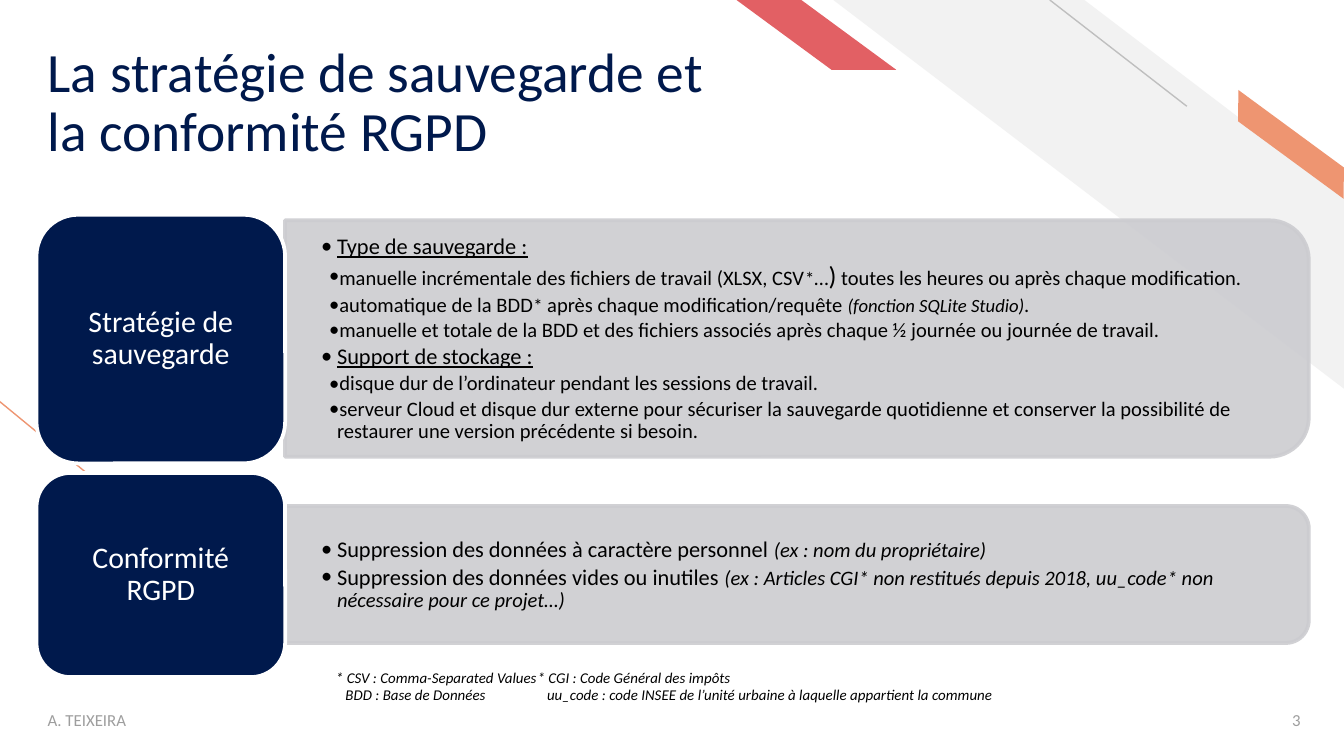
import pptx
import pptx.dml.color
import pptx.enum.shapes
import pptx.enum.text
import pptx.oxml
import pptx.oxml.ns
import pptx.util

Cm, Pt = pptx.util.Cm, pptx.util.Pt
SHAPE = pptx.enum.shapes.MSO_SHAPE
ALIGN = pptx.enum.text.PP_ALIGN
ANCHOR = pptx.enum.text.MSO_ANCHOR
qn = pptx.oxml.ns.qn

FONT = "Calibri"
COLORS = {
    "navy": "00194C", "panel": "CCCCD0", "stripe": "F2F2F2",
    "thin": "BFBFBF", "orange": "EE9571", "red": "E26064",
    "footer": "9E9E9E", "black": "000000", "white": "FFFFFF",
}
ITALIC = {"italic": True}
UNDERLINE = {"underline": True}

# Each paragraph: (hanging indent in cm, [(text, size, style), ...])
MAIN, SUB = 0.3, 0.15
BACKUP = [
    (MAIN, [("Type de sauvegarde :", 12, UNDERLINE)]),
    (SUB, [("manuelle incrémentale des fichiers de travail (XLSX, CSV", 11, {}),
           ("*", 10, {}), ("…", 11, {}), (")", 14, {}),
           (" toutes les heures ou après chaque modification.", 11, {})]),
    (SUB, [("automatique de la BDD", 11, {}), ("*", 10, {}),
           (" après chaque modification/requête ", 11, {}),
           ("(fonction SQLite Studio)", 10, ITALIC), (".", 11, {})]),
    (SUB, [("manuelle et totale de la BDD et des fichiers associés après "
            "chaque ½ journée ou journée de travail.", 11, {})]),
    (MAIN, [("Support de stockage :", 12, UNDERLINE)]),
    (SUB, [("disque dur de l’ordinateur pendant les sessions de travail.", 11, {})]),
    (SUB, [("serveur Cloud et disque dur externe pour sécuriser la sauvegarde "
            "quotidienne et conserver la possibilité de restaurer une version "
            "précédente si besoin.", 11, {})]),
]
GDPR = [
    (MAIN, [("Suppression des données à caractère personnel ", 12, {}),
            ("(ex : nom du propriétaire)", 11, ITALIC)]),
    (MAIN, [("Suppression des données vides ou inutiles ", 12, {}),
            ("(ex : Articles CGI", 11, ITALIC), ("*", 10.5, ITALIC),
            (" non restitués depuis 2018, uu_code", 11, ITALIC),
            ("*", 10.5, ITALIC),
            (" non nécessaire pour ce projet…)", 11, ITALIC)]),
]
# Each footnote line: (left margin, tab stop, text)
FOOTNOTES = [
    (0, 7.62, "* CSV : Comma-Separated Values\t* CGI : Code Général des impôts"),
    (0.18, 7.87, "BDD : Base de Données\tuu_code : code INSEE de l’unité "
                 "urbaine à laquelle appartient la commune"),
]


def rgb(name):
    return pptx.dml.color.RGBColor.from_string(COLORS[name])


def apply(obj, values):
    for key, value in values.items():
        setattr(obj, key, value)


def set_frame(tf, insets, anchor=ANCHOR.MIDDLE, wrap=True):
    left, top, right, bottom = (Cm(v) for v in insets)
    apply(tf, {"margin_left": left, "margin_top": top, "margin_right": right,
               "margin_bottom": bottom, "vertical_anchor": anchor,
               "auto_size": pptx.enum.text.MSO_AUTO_SIZE.NONE,
               "word_wrap": wrap})


def add_run(p, text, size, color, style=None):
    r = p.add_run()
    r.text = text
    apply(r.font, {"name": FONT, "size": Pt(size), **(style or {})})
    r.font.color.rgb = rgb(color)


def add_text(s, box, insets, wrap=True, anchor=ANCHOR.MIDDLE):
    tf = s.shapes.add_textbox(*(Cm(v) for v in box)).text_frame
    set_frame(tf, insets, anchor, wrap)
    return tf


def paragraphs(tf, items):
    """Pair each item with its paragraph, starting with the existing one."""
    for i, item in enumerate(items):
        yield (tf.add_paragraph() if i else tf.paragraphs[0]), item


def add_shape(s, kind, box, fill, line=None, flip=False, adj=None, rotation=0):
    sp = s.shapes.add_shape(kind, *(Cm(v) for v in box))
    sp.shadow.inherit = False
    sp.rotation = rotation
    sp.fill.solid()
    sp.fill.fore_color.rgb = rgb(fill)
    if line:
        sp.line.color.rgb = rgb(line)
        sp.line.width = Pt(2)
    else:
        sp.line.fill.background()
    if flip:
        sp._element.spPr.xfrm.set("flipH", "1")
    if adj is not None:
        sp.adjustments[0] = adj
    return sp


def add_line(s, ends, color):
    line = s.shapes.add_connector(pptx.enum.shapes.MSO_CONNECTOR.STRAIGHT,
                                  *(Cm(v) for v in ends))
    line.line.color.rgb = rgb(color)
    line.line.width = Pt(0.75)
    pptx.oxml.ns  # namespace map used by the element below
    line._element.spPr.append(pptx.oxml.parse_xml(
        f"<a:effectLst {pptx.oxml.ns.nsdecls('a')}/>"))


def add_bullet(p, hang):
    pPr = p._p.get_or_add_pPr()
    pPr.set("marL", str(Cm(MAIN)))
    pPr.set("indent", str(-Cm(hang)))
    ns = pptx.oxml.ns.nsdecls("a")
    for xml in (f'<a:buClr {ns}><a:srgbClr val="{COLORS["black"]}"/></a:buClr>',
                f'<a:buFont {ns} typeface="{FONT}"/>',
                f'<a:buChar {ns} char="•"/>'):
        pPr.append(pptx.oxml.parse_xml(xml))


def add_panel(s, center_y, height, text_box, items):
    # Turned a quarter so that the rounded corners are on the right
    center_x, length = 15.06, 19.35
    box = (center_x - height / 2, center_y - length / 2, height, length)
    sp = add_shape(s, SHAPE.ROUND_2_SAME_RECTANGLE, box, "panel", "panel",
                   rotation=90)
    for clr in sp._element.spPr.iter(qn("a:srgbClr")):
        clr.append(pptx.oxml.parse_xml(
            f'<a:alpha {pptx.oxml.ns.nsdecls("a")} val="90000"/>'))
    tf = add_text(s, text_box, (0.69, 0.36, 0.69, 0.36))
    for p, (hang, runs) in paragraphs(tf, items):
        add_bullet(p, hang)
        apply(p, {"line_spacing": 0.9, "space_after": Pt(1.8)})
        for text, size, style in runs:
            add_run(p, text, size, "black", style)


def add_label(s, top, height, text):
    sp = add_shape(s, SHAPE.ROUNDED_RECTANGLE, (0.69, top, 4.7, height),
                   "navy", "white")
    set_frame(sp.text_frame, (0.4, 0.3, 0.4, 0.3))
    p = sp.text_frame.paragraphs[0]
    apply(p, {"alignment": ALIGN.CENTER, "line_spacing": 0.9})
    add_run(p, text, 16, "white")


def add_footnotes(s):
    tf = add_text(s, (6.1, 12.5, 16.92, 0.94), (0.25, 0.13, 0.25, 0.13),
                  wrap=False, anchor=ANCHOR.TOP)
    for p, (margin, stop, text) in paragraphs(tf, FOOTNOTES):
        pPr = p._p.get_or_add_pPr()
        pPr.set("marL", str(Cm(margin)))
        pPr.set("indent", "0")
        pPr.append(pptx.oxml.parse_xml(
            f'<a:tabLst {pptx.oxml.ns.nsdecls("a")}>'
            f'<a:tab pos="{Cm(stop)}" algn="l"/></a:tabLst>'))
        add_run(p, text, 8, "black", ITALIC)


def add_footer(s, left, width, text, alignment):
    tf = add_text(s, (left, 13.23, width, 0.76), (0.19, 0.1, 0.19, 0.1))
    tf.paragraphs[0].alignment = alignment
    add_run(tf.paragraphs[0], text, 9, "footer")


def set_title(s, text):
    title = s.shapes.title
    apply(title, {"left": Cm(0.71), "top": Cm(0.71),
                  "width": Cm(13.03), "height": Cm(2.39)})
    set_frame(title.text_frame, (0.19, 0.1, 0.19, 0), ANCHOR.BOTTOM)
    p = title.text_frame.paragraphs[0]
    apply(p, {"alignment": ALIGN.LEFT, "line_spacing": 0.9})
    add_run(p, text, 29.7, "navy")


def add_decoration(s):
    add_line(s, (3.96, 10.85, -0.03, 7.57), "orange")
    add_shape(s, SHAPE.DIAGONAL_STRIPE, (15.75, 0, 9.68, 7.37), "stripe",
              flip=True, adj=0.51)
    add_line(s, (22.43, 2.01, 19.84, 0), "thin")
    add_shape(s, SHAPE.PARALLELOGRAM, (22.99, 2.49, 2.82, 0.48), "orange",
              flip=True, adj=0.72, rotation=36.3)
    add_shape(s, SHAPE.PARALLELOGRAM, (13.92, 0, 3.02, 1.32), "red",
              flip=True, adj=1.36)


def main():
    prs = pptx.Presentation()
    prs.slide_width, prs.slide_height = Cm(25.4), Cm(14.29)
    s = prs.slides.add_slide(prs.slide_layouts[5])

    # Background bands and title
    add_decoration(s)
    set_title(s, "La stratégie de sauvegarde et la conformité RGPD")

    # Two topics: panel with bullets, then its label
    add_panel(s, 6.4, 4.47, (5.38, 4.39, 19.13, 4.04), BACKUP)
    add_label(s, 4.06, 4.7, "Stratégie de sauvegarde")
    add_panel(s, 10.86, 2.59, (5.38, 9.7, 19.2, 2.34), GDPR)
    add_label(s, 8.94, 3.86, "Conformité RGPD")

    # Footnotes and footer
    add_footnotes(s)
    add_footer(s, 0.71, 8.59, "A. TEIXEIRA", ALIGN.LEFT)
    add_footer(s, 23.22, 1.55, "3", ALIGN.RIGHT)
    prs.save("out.pptx")


if __name__ == "__main__":
    main()
